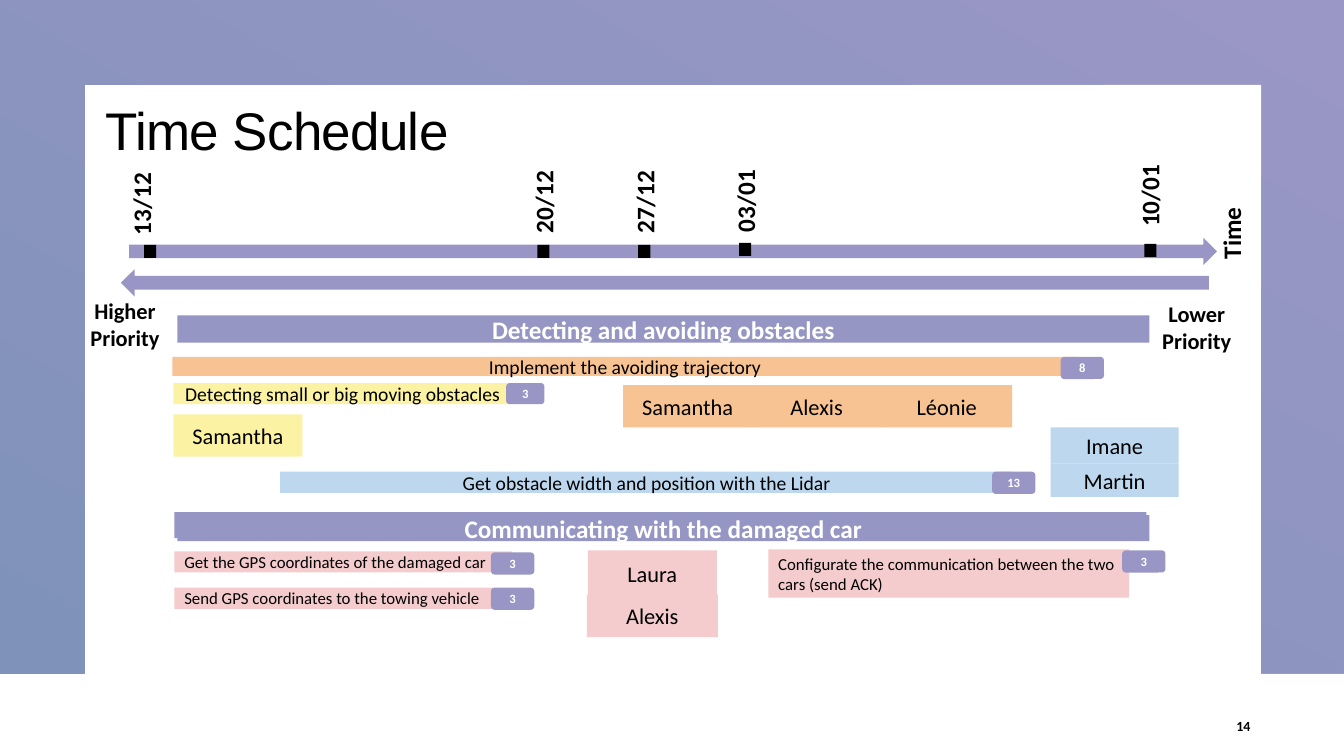
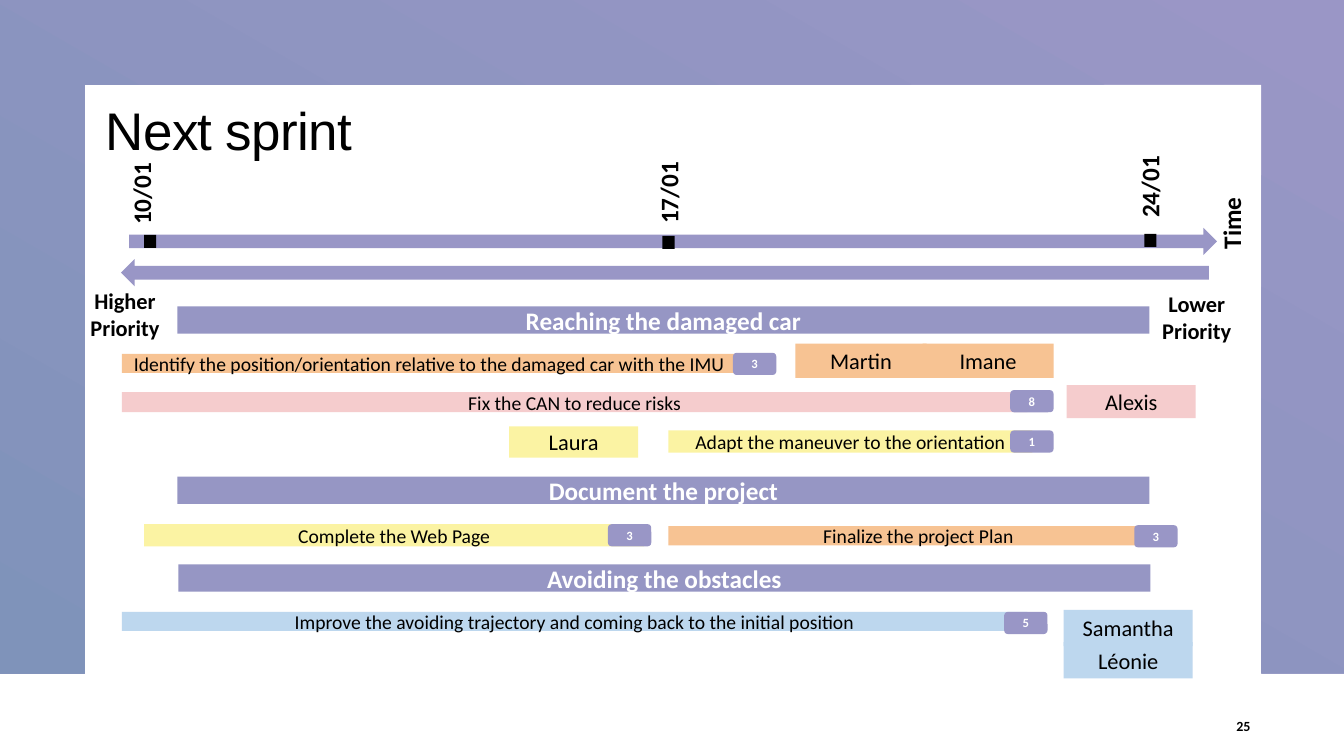
from pptx import Presentation
from pptx.dml.color import RGBColor
from pptx.enum.shapes import MSO_SHAPE as Preset
from pptx.enum.text import MSO_ANCHOR as Anchor, PP_ALIGN as Align

PX = 9144  # EMU in one px, at 100 px to the inch
PAGE_WIDTH, PAGE_HEIGHT = 1333, 750

BLACK = RGBColor(0x00, 0x00, 0x00)
WHITE = RGBColor(0xFF, 0xFF, 0xFF)
FRAME_PURPLE = RGBColor(0x9A, 0x96, 0xC6)
FRAME_BLUE = RGBColor(0x7F, 0x93, 0xBA)
PURPLE = RGBColor(0x99, 0x96, 0xC6)
BAND = RGBColor(0x96, 0x96, 0xC4)
ORANGE = RGBColor(0xF7, 0xC3, 0x93)
YELLOW = RGBColor(0xFB, 0xF3, 0xA3)
BLUE = RGBColor(0xBD, 0xD7, 0xEE)
PINK = RGBColor(0xF5, 0xCC, 0xCD)


def text_style(size, color=BLACK, bold=False, align=Align.CENTER, name="Calibri"):
    return {"align": align, "color": color,
            "font": {"name": name, "size": round(size * 12700), "bold": bold}}


TITLE = text_style(37.8, align=Align.LEFT, name="Arial")
HEADING = text_style(18, WHITE, bold=True)
TASK = text_style(14)
SMALL_TASK = text_style(12, align=Align.LEFT)
PERSON = text_style(16)
BADGE = text_style(9, WHITE, bold=True)
DATE = text_style(18, bold=True, align=Align.LEFT)
PRIORITY = text_style(16, bold=True)
PAGE_NUMBER = text_style(10, bold=True, align=Align.RIGHT)


def emu(*lengths):
    return [length * PX for length in lengths]


def write(shape, text, style, anchor=Anchor.MIDDLE):
    frame = shape.text_frame
    frame.word_wrap = True
    frame.vertical_anchor = anchor
    para = frame.paragraphs[0]
    para.alignment = style["align"]
    span = para.add_run()
    span.text = text
    for key, value in style["font"].items():
        setattr(span.font, key, value)
    span.font.color.rgb = style["color"]
    return para


def add_block(page, box, fill, text="", style=TASK, preset=Preset.RECTANGLE):
    block = page.shapes.add_shape(preset, *emu(*box))
    block.shadow.inherit = False
    block.fill.solid()
    block.fill.fore_color.rgb = fill
    block.line.fill.background()
    if text:
        write(block, text, style)
    return block


def add_label(page, box, text, style, anchor=Anchor.TOP, rotation=0):
    label = page.shapes.add_textbox(*emu(*box))
    label.rotation = rotation
    write(label, text, style, anchor)


def add_title(page, text):
    title = page.shapes.title
    title.left, title.top, title.width, title.height = emu(95, 96, 487, 75)
    para = write(title, text, TITLE, Anchor.TOP)
    para.line_spacing = 0.95
    para.runs[0].font._element.set("spc", "-50")


def add_timeline(page, top, marks):
    """Time and priority arrows; a mark is (date, tick left, tick drop, date left, date rise)."""
    reverse = add_block(page, (120, top + 31, 1079, 27), PURPLE, preset=Preset.RIGHT_ARROW)
    reverse.rotation = 180
    add_block(page, (128, top, 1079, 27), PURPLE, preset=Preset.RIGHT_ARROW)
    add_label(page, (1154, top - 56, 134, 40), "Time", DATE, rotation=270)
    for date, tick_left, drop, date_left, rise in marks:
        add_block(page, (tick_left, top + drop, 12, 13), BLACK)
        add_label(page, (date_left, top - rise, 134, 40), date, DATE, rotation=270)
    add_label(page, (78, top + 54, 92, 64), "Higher Priority", PRIORITY)
    add_label(page, (1141, top + 57, 92, 64), "Lower Priority", PRIORITY)


def add_headings(page, headings):
    for text, left, top, height in headings:
        add_block(page, (left, top, 964, height), BAND, text, HEADING)


def add_tasks(page, tasks):
    """Bars, each with its points in a badge; a badge is (points, left, top, width, height)."""
    for text, box, fill, style, (points, *badge_box) in tasks:
        add_block(page, box, fill, text, style)
        add_block(page, badge_box, PURPLE, points, BADGE, Preset.ROUNDED_RECTANGLE)


def add_people(page, people):
    for name, box, fill in people:
        add_block(page, box, fill, name, PERSON)


def add_sprint_page(deck, sprint):
    page = deck.slides.add_slide(deck.slide_layouts[5])
    add_title(page, sprint["title"])
    add_timeline(page, sprint["timeline_top"], sprint["marks"])
    add_headings(page, sprint["headings"])
    add_tasks(page, sprint["tasks"])
    add_people(page, sprint["people"])
    add_label(page, (1192, 700, 58, 40), sprint["number"], PAGE_NUMBER, Anchor.MIDDLE)
    return page


def add_layout_frame(page):
    """Draw the gradient frame, then hand it to the layout that all pages share."""
    right, bottom, border = PAGE_WIDTH, 668, 84
    inner_right = right - 82
    builder = page.shapes.build_freeform(0, 0, scale=PX)
    builder.add_line_segments([
        (right, 0), (right, bottom), (inner_right, bottom), (inner_right, border),
        (border, border), (border, bottom), (0, bottom)])
    frame = builder.convert_to_shape()
    frame.shadow.inherit = False
    frame.line.fill.background()
    frame.fill.gradient()
    frame.fill.gradient_angle = 240
    for stop, color in zip(frame.fill.gradient_stops, (FRAME_PURPLE, FRAME_BLUE)):
        stop.color.rgb = color
    page.slide_layout.shapes.element.insert(2, frame.element)


SPRINTS = [
    {
        "title": "Time Schedule",
        "number": "14",
        "timeline_top": 236,
        "marks": [
            ("13/12", 143, 7, 73, 80),
            ("20/12", 533, 7, 472, 82),
            ("27/12", 633, 7, 572, 82),
            ("03/01", 733, 5, 672, 83),
            ("10/01", 1135, 6, 1073, 88),
        ],
        "headings": [
            ("Detecting and avoiding obstacles", 176, 313, 27),
            ("", 173, 508, 26),
            ("Communicating with the damaged car", 176, 511, 26),
        ],
        "tasks": [
            ("Implement the avoiding trajectory", (171, 354, 898, 19), ORANGE, TASK,
             ("8", 1052, 354, 43, 22)),
            ("Detecting small or big moving obstacles", (172, 380, 336, 21), YELLOW, TASK,
             ("3", 502, 380, 38, 21)),
            ("Get obstacle width and position with the Lidar", (278, 468, 727, 21), BLUE, TASK,
             ("13", 984, 468, 43, 22)),
            ("Get the GPS coordinates of the damaged car", (173, 547, 335, 21), PINK, SMALL_TASK,
             ("3", 487, 548, 43, 22)),
            ("Send GPS coordinates to the towing vehicle", (173, 583, 316, 21), PINK, SMALL_TASK,
             ("3", 487, 583, 43, 22)),
            ("Configurate the communication between the two cars (send ACK)",
             (762, 545, 358, 48), PINK, SMALL_TASK, ("3", 1113, 546, 43, 22)),
        ],
        "people": [
            ("Léonie", (874, 382, 130, 42), ORANGE),
            ("Alexis", (745, 382, 130, 42), ORANGE),
            ("Samantha", (618, 382, 128, 42), ORANGE),
            ("Samantha", (172, 411, 128, 42), YELLOW),
            ("Imane", (1042, 424, 127, 36), BLUE),
            ("Martin", (1042, 460, 127, 33), BLUE),
            ("Laura", (583, 546, 128, 46), PINK),
            ("Alexis", (582, 590, 130, 42), PINK),
        ],
    },
    {
        "title": "Next sprint",
        "number": "25",
        "timeline_top": 226,
        "marks": [
            ("10/01", 143, 7, 73, 80),
            ("17/01", 657, 8, 596, 81),
            ("24/01", 1135, 6, 1073, 87),
        ],
        "headings": [
            ("Reaching the damaged car", 176, 304, 27),
            ("Document the project", 176, 473, 27),
            ("Avoiding the obstacles", 177, 560, 27),
        ],
        "tasks": [
            ("Identify the position/orientation relative to the damaged car with the IMU",
             (121, 351, 610, 19), ORANGE, TASK, ("3", 727, 350, 43, 22)),
            ("Fix the CAN to reduce risks", (121, 389, 898, 20), PINK, TASK,
             ("8", 1002, 387, 43, 22)),
            ("Adapt the maneuver to the orientation", (663, 427, 361, 22), YELLOW, TASK,
             ("1", 1002, 427, 43, 22)),
            ("Complete the Web Page", (143, 520, 496, 22), YELLOW, TASK,
             ("3", 603, 520, 43, 22)),
            ("Finalize the project Plan", (663, 522, 496, 19), ORANGE, TASK,
             ("3", 1125, 521, 43, 22)),
            ("Improve the avoiding trajectory and coming back to the initial position",
             (121, 607, 898, 19), BLUE, TASK, ("5", 996, 607, 43, 22)),
        ],
        "people": [
            ("Imane", (915, 341, 130, 34), ORANGE),
            ("Martin", (789, 341, 130, 34), ORANGE),
            ("Alexis", (1058, 382, 128, 33), PINK),
            ("Laura", (505, 423, 128, 31), YELLOW),
            ("Samantha", (1055, 605, 128, 36), BLUE),
            ("Léonie", (1055, 637, 128, 36), BLUE),
        ],
    },
]


def main():
    deck = Presentation()
    deck.slide_width, deck.slide_height = emu(PAGE_WIDTH, PAGE_HEIGHT)
    pages = [add_sprint_page(deck, sprint) for sprint in SPRINTS]
    add_layout_frame(pages[0])
    deck.save("out.pptx")


if __name__ == "__main__":
    main()
